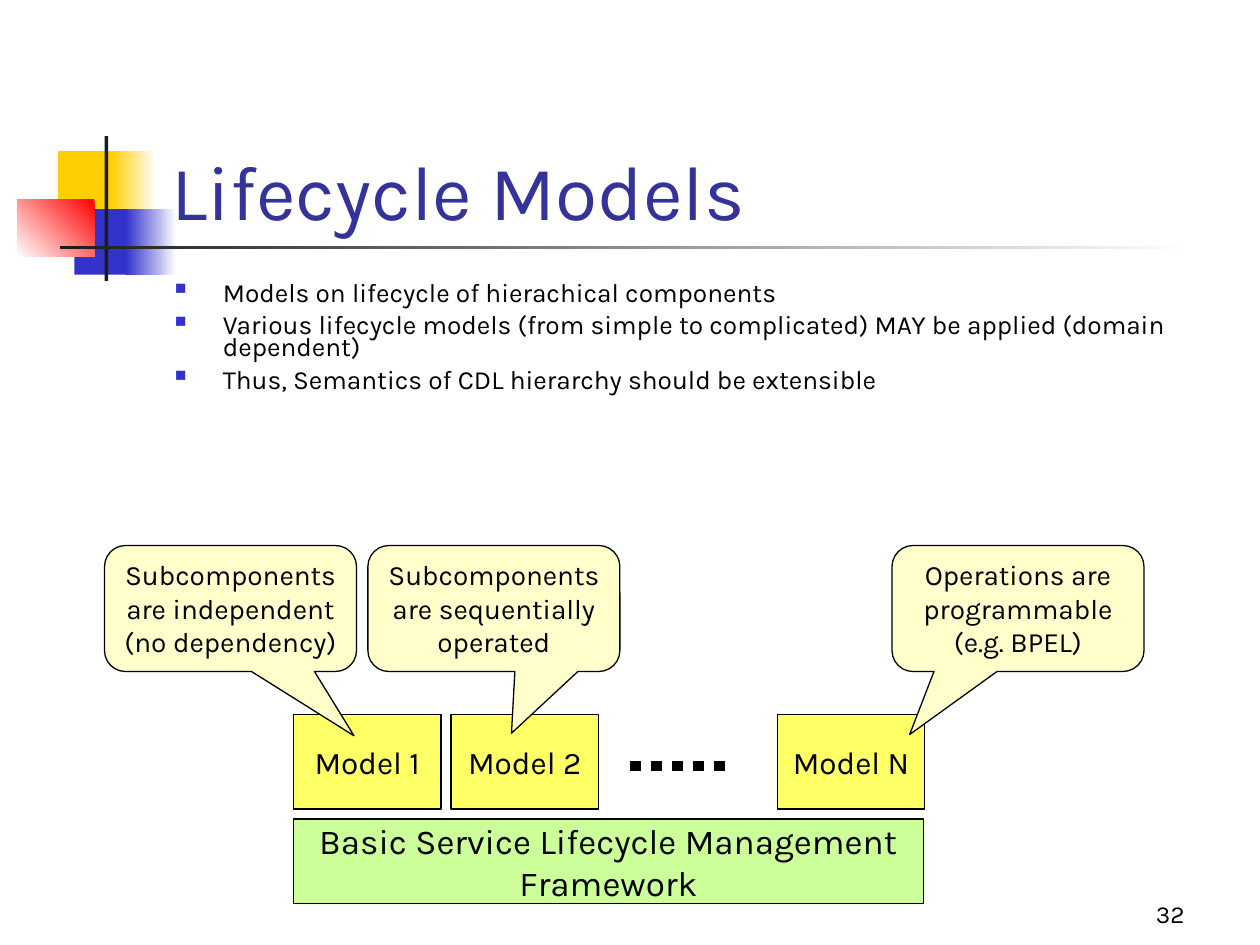
from lxml.etree import SubElement
from pptx import Presentation
from pptx.dml.color import RGBColor
from pptx.enum.dml import MSO_LINE
from pptx.enum.shapes import MSO_CONNECTOR, MSO_SHAPE
from pptx.enum.text import MSO_ANCHOR, PP_ALIGN
from pptx.oxml.ns import qn
from pptx.util import Inches, Pt

FONT = "Karla"
BLACK = RGBColor(0x00, 0x00, 0x00)
WHITE = RGBColor(0xFF, 0xFF, 0xFF)
GOLD = RGBColor(0xFF, 0xCF, 0x01)
BLUE = RGBColor(0x33, 0x33, 0xCC)
RED = RGBColor(0xFF, 0x00, 0x00)
CHARCOAL = RGBColor(0x1C, 0x1C, 0x1C)
TITLE_BLUE = RGBColor(0x33, 0x33, 0x99)
MODEL_YELLOW = RGBColor(0xFF, 0xFF, 0x66)
FRAMEWORK_GREEN = RGBColor(0xCC, 0xFF, 0x99)
CALLOUT_CREAM = RGBColor(0xFF, 0xFF, 0xCC)

deck = Presentation()
deck.slide_width, deck.slide_height = Inches(10), Inches(7.5)
page = deck.slides.add_slide(deck.slide_layouts[6])


def write(box, text, size, color=BLACK, align=PP_ALIGN.LEFT,
          anchor=MSO_ANCHOR.TOP, wrap=True, bullet=None):
    """Fill a box with one paragraph per line; bullet is the marker colour."""
    frame = box.text_frame
    frame.word_wrap = wrap
    frame.vertical_anchor = anchor
    for index, line in enumerate(text.split("\n")):
        para = frame.add_paragraph() if index else frame.paragraphs[0]
        para.alignment = align
        if bullet is not None:
            para.line_spacing = 0.7
            if index:
                para.space_before = Pt(6)
            properties = para._p.get_or_add_pPr()
            properties.set("marL", str(Inches(0.38)))
            properties.set("indent", str(Inches(-0.38)))
            marker = SubElement(properties, qn("a:buClr"))
            SubElement(marker, qn("a:srgbClr")).set("val", str(bullet))
            SubElement(properties, qn("a:buSzPct")).set("val", "60000")
            SubElement(properties, qn("a:buChar")).set("char", "■")
        span = para.add_run()
        span.text = line
        span.font.name = FONT
        span.font.size = Pt(size)
        span.font.color.rgb = color


def add_box(kind, left, top, width, height, fill, outline=True):
    """Add a filled shape; a (start, end, angle) fill makes a gradient."""
    box = page.shapes.add_shape(
        kind, Inches(left), Inches(top), Inches(width), Inches(height))
    box.shadow.inherit = False
    if isinstance(fill, RGBColor):
        box.fill.solid()
        box.fill.fore_color.rgb = fill
    else:
        box.fill.gradient()
        box.fill.gradient_angle = fill[2]
        for stop, color in zip(box.fill.gradient_stops, fill):
            stop.color.rgb = color
    if outline:
        box.line.color.rgb = BLACK
        box.line.width = Pt(0.75)
    else:
        box.line.fill.background()
    return box


# Corner ornament and title rule
for left, top, width, height, fill in [
    (0.46, 1.2, 0.48, 0.52, GOLD),
    (0.88, 1.2, 0.36, 0.52, (WHITE, GOLD, 180)),
    (0.59, 1.66, 0.46, 0.52, BLUE),
    (1, 1.66, 0.4, 0.52, (WHITE, BLUE, 180)),
    (0.14, 1.58, 0.61, 0.46, (RED, WHITE, 225)),
    (0.83, 1.08, 0.03, 1.15, CHARCOAL),
    (0.48, 1.95, 9, 0.03, (WHITE, CHARCOAL, 180)),
]:
    add_box(MSO_SHAPE.RECTANGLE, left, top, width, height, fill, outline=False)

# Title and bullets
title = page.shapes.add_textbox(Inches(1.26), Inches(0.67), Inches(8.52), Inches(1.25))
write(title, "Lifecycle Models", 44, color=TITLE_BLUE, anchor=MSO_ANCHOR.BOTTOM)

body = page.shapes.add_textbox(Inches(1.29), Inches(2.21), Inches(8.5), Inches(0.96))
write(body, "Models on lifecycle of hierachical components\n"
      "Various lifecycle models (from simple to complicated) MAY be applied (domain dependent)\n"
      "Thus, Semantics of CDL hierarchy should be extensible", 15, bullet=BLUE)

# Models on top of the framework
for left, name in [(2.33, "Model 1"), (3.58, "Model 2"), (6.17, "Model N")]:
    model = add_box(MSO_SHAPE.RECTANGLE, left, 5.67, 1.17, 0.75, MODEL_YELLOW)
    write(model, name, 18, align=PP_ALIGN.CENTER, anchor=MSO_ANCHOR.MIDDLE, wrap=False)

framework = add_box(MSO_SHAPE.RECTANGLE, 2.33, 6.5, 5, 0.67, FRAMEWORK_GREEN)
write(framework, "Basic Service Lifecycle Management\nFramework", 20,
      align=PP_ALIGN.CENTER, anchor=MSO_ANCHOR.MIDDLE, wrap=False)

# Callouts, with the tip measured from the centre in widths and heights
for left, tip_x, tip_y, text in [
    (7.08, -0.43, 1, "Operations are programmable (e.g. BPEL)"),
    (0.83, 0.49, 1.01, "Subcomponents are independent\n(no dependency)"),
    (2.92, 0.07, 0.99, "Subcomponents are sequentially operated"),
]:
    callout = add_box(MSO_SHAPE.ROUNDED_RECTANGULAR_CALLOUT, left, 4.33, 2, 1, CALLOUT_CREAM)
    callout.adjustments[0] = tip_x
    callout.adjustments[1] = tip_y
    write(callout, text, 16, align=PP_ALIGN.CENTER)

# Dots standing for the models in between
dots = page.shapes.add_connector(
    MSO_CONNECTOR.STRAIGHT, Inches(5), Inches(6.08), Inches(5.83), Inches(6.08))
dots.line.color.rgb = BLACK
dots.line.width = Pt(6)
dots.line.dash_style = MSO_LINE.ROUND_DOT
SubElement(dots._element.spPr, qn("a:effectLst"))

number = page.shapes.add_textbox(Inches(7.42), Inches(6.92), Inches(2.08), Inches(0.5))
write(number, "32", 14, align=PP_ALIGN.RIGHT, anchor=MSO_ANCHOR.BOTTOM)

deck.save("out.pptx")
